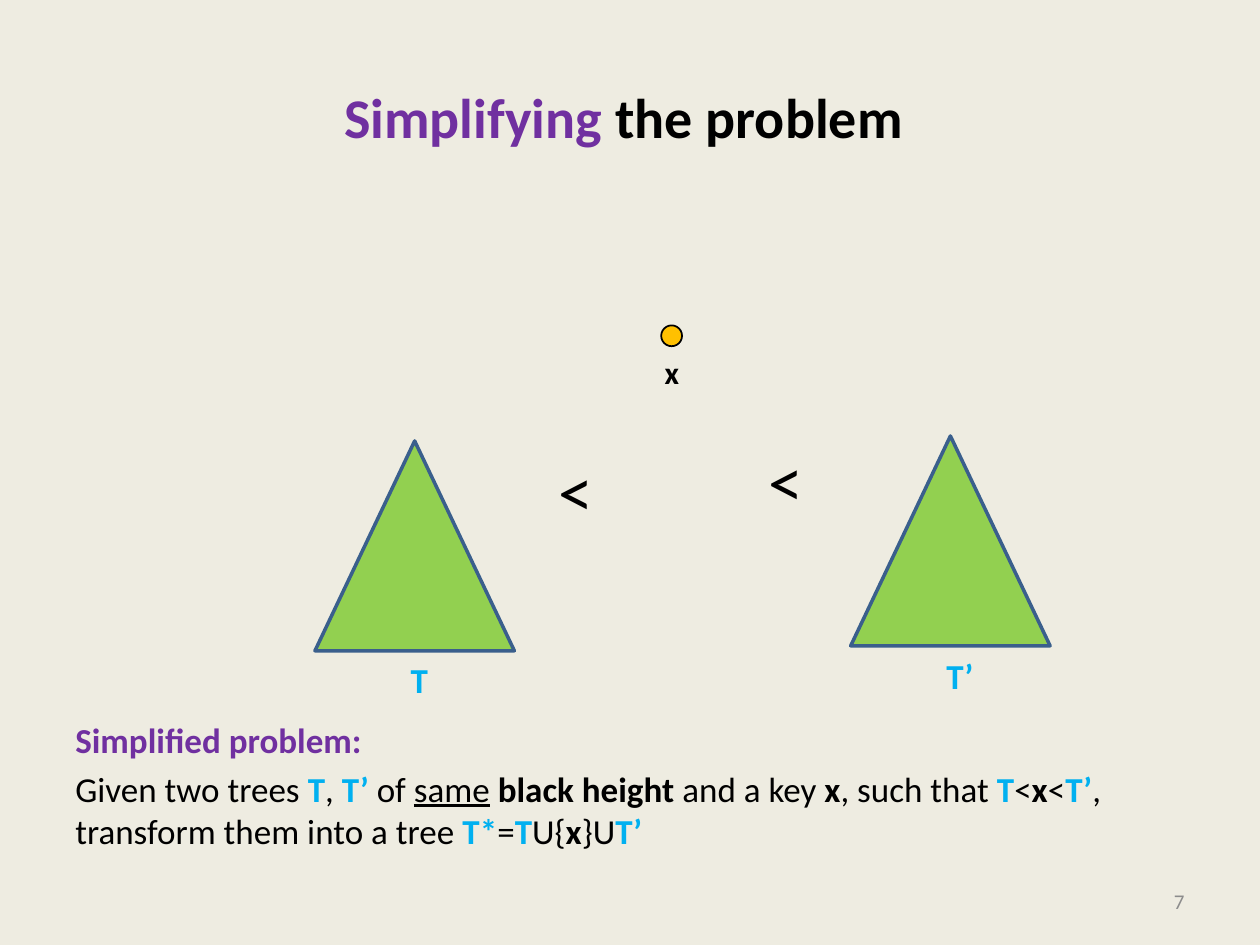
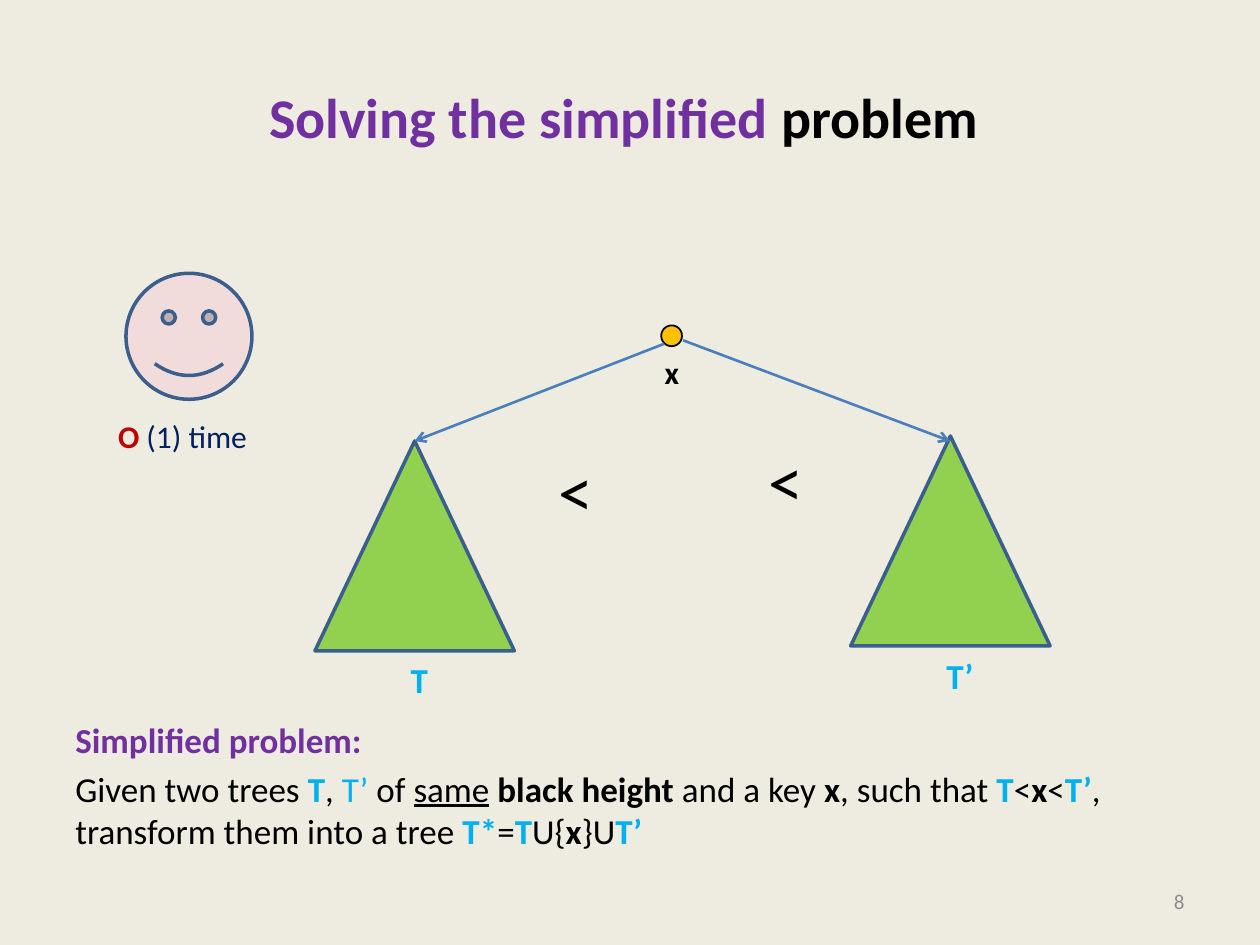
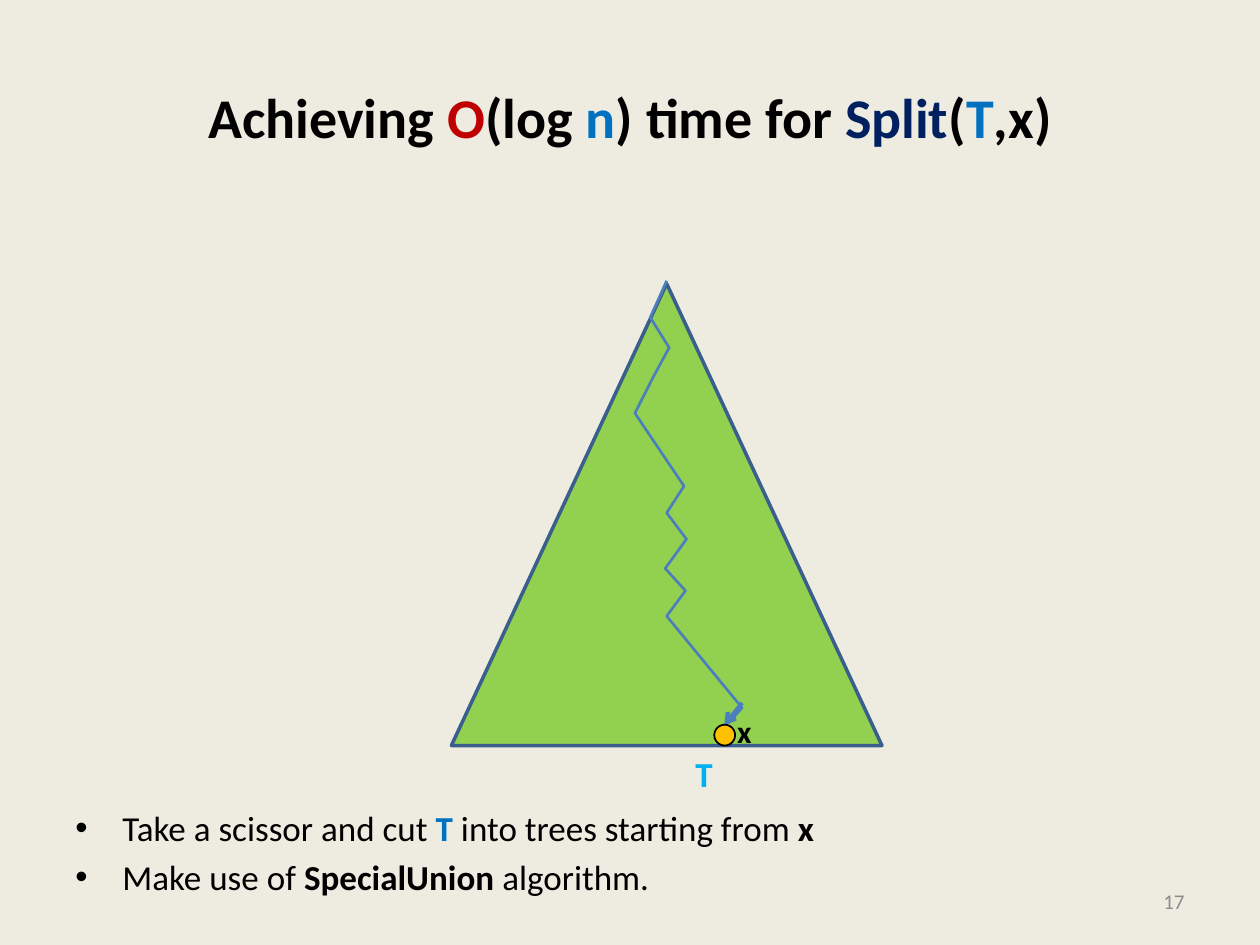
from itertools import pairwise
from lxml.etree import SubElement
from pptx import Presentation
from pptx.dml.color import RGBColor
from pptx.enum.shapes import MSO_CONNECTOR, MSO_SHAPE
from pptx.enum.text import MSO_ANCHOR, PP_ALIGN
from pptx.oxml.ns import qn
from pptx.util import Cm, Pt

FONT = "Calibri"
BACK, BLACK, GREY = "EEECE1", "000000", "8C8C8C"
PURPLE, RED, NAVY = "7030A0", "C00000", "002060"
BLUE, CYAN = "0070C0", "00B0F0"
GREEN, GOLD, PINK = "92D050", "FFC000", "F2DCDB"
EDGE, WIRE = "3A5F8C", "4B7EBC"

STYLES = {
    "plain": (BLACK, False, False),
    "bold": (BLACK, True, False),
    "under": (BLACK, False, True),
    "head": (PURPLE, True, False),
    "tree": (CYAN, True, False),
    "light": (CYAN, False, False),
    "blue": (BLUE, True, False),
    "order": (RED, True, False),
    "navy": (NAVY, False, False),
    "name": (NAVY, True, False),
    "page": (GREY, False, False),
}

TITLES = [
    [("Simplifying", "head"), (" the problem ", "bold")],
    [("Solving the simplified", "head"), (" problem ", "bold")],
    [("Achieving ", "bold"), ("O", "order"), ("(log ", "bold"), ("n", "blue"),
     (") time for ", "bold"), ("Split", "name"), ("(", "bold"), ("T", "blue"),
     (",x)", "bold")],
]
PAGES = ["7", "8", "17"]
TASK = [
    ("Given two trees ", "plain"), ("T", "tree"), (", ", "plain"), ("T’", "tree"),
    (" of ", "plain"), ("same", "under"), (" ", "plain"), ("black height ", "bold"),
    ("and a key ", "plain"), ("x", "bold"), (", such that ", "plain"),
    ("T", "tree"), ("<", "plain"), ("x", "bold"), ("<", "plain"), ("T’", "tree"),
    (", transform them into a tree ", "plain"), ("T*", "tree"), ("=", "plain"),
    ("T", "tree"), ("U{", "plain"), ("x", "bold"), ("}U", "plain"), ("T’", "tree"),
]
STEPS = [
    [("Take a scissor and cut ", "plain"), ("T", "blue"),
     (" into trees starting from ", "plain"), ("x", "bold")],
    [("Make use of ", "plain"), ("SpecialUnion ", "bold"), ("algorithm.", "plain")],
]
TIME = [("O ", "order"), ("(1) time", "navy")]

TREES = [("T", 6.35, 8.89, 0.86), ("T’", 17.15, 8.79, 1.07)]
SIGNS = [(11, 8.89), (15.24, 8.69)]
LINKS = [((13.39, 6.93), (8.36, 8.89)), ((13.77, 6.86), (19.15, 8.89))]
CUT = [
    (13.44, 5.66), (13.11, 6.4), (13.49, 7.01), (13.16, 7.62), (12.8, 8.33),
    (13.79, 9.8), (13.44, 10.34), (13.84, 10.87), (13.41, 11.46),
    (13.82, 11.91), (13.44, 12.42), (14.96, 14.27), (14.68, 14.58),
]
TIP = ((14.96, 14.17), (14.6, 14.61))


def rgb(code):
    return RGBColor.from_string(code)


def place(*nums):
    return [Cm(num) for num in nums]


def write(par, runs, size):
    par.font.size, par.font.name = Pt(size), FONT
    for text, key in runs:
        run = par.add_run()
        run.text = text
        tone, bold, under = STYLES[key]
        run.font.color.rgb = rgb(tone)
        run.font.bold, run.font.underline = bold, under


def label(slide, runs, size, *box):
    frame = slide.shapes.add_textbox(*place(*box)).text_frame
    frame.word_wrap = False
    write(frame.paragraphs[0], runs, size)
    return frame


def shape(slide, kind, box, fill, line=EDGE, width=2):
    form = slide.shapes.add_shape(kind, *place(*box))
    form.shadow.inherit = False
    form.fill.solid()
    form.fill.fore_color.rgb = rgb(fill)
    form.line.color.rgb, form.line.width = rgb(line), Pt(width)
    return form


def arrow(slide, start, end, width=1.5):
    link = slide.shapes.add_connector(MSO_CONNECTOR.STRAIGHT, *place(*start, *end))
    link.line.color.rgb, link.line.width = rgb(WIRE), Pt(width)
    SubElement(link.line._get_or_add_ln(), qn("a:tailEnd"), type="arrow")
    SubElement(link._element.spPr, qn("a:effectLst"))


def body(slide, top, lines, bullet=False):
    frame = slide.shapes.add_textbox(*place(1.27, top, 22.86, 2)).text_frame
    frame.word_wrap = True
    for num, runs in enumerate(lines):
        par = frame.add_paragraph() if num else frame.paragraphs[0]
        par.space_after = Pt(4)
        if bullet:
            props = par._p.get_or_add_pPr()
            props.set("marL", str(Cm(0.95)))
            props.set("indent", str(Cm(-0.95)))
            SubElement(props, qn("a:buFont"), typeface="Arial")
            SubElement(props, qn("a:buChar"), char="•")
        write(par, runs, 20)


def start(deck, runs, page):
    slide = deck.slides.add_slide(deck.slide_layouts[5])
    slide.background.fill.solid()
    slide.background.fill.fore_color.rgb = rgb(BACK)
    title = slide.shapes.title
    title.left, title.top, title.width, title.height = place(1.27, 0.76, 22.86, 3.18)
    frame = title.text_frame
    frame.vertical_anchor = MSO_ANCHOR.MIDDLE
    frame.paragraphs[0].alignment = PP_ALIGN.CENTER
    write(frame.paragraphs[0], runs, 32)
    foot = label(slide, [(page, "page")], 12, 18.2, 17.65, 5.93, 1.02)
    foot.word_wrap = True
    foot.vertical_anchor = MSO_ANCHOR.MIDDLE
    foot.paragraphs[0].alignment = PP_ALIGN.RIGHT
    return slide


def node(slide, left, top, side, drop):
    shape(slide, MSO_SHAPE.OVAL, (left, top, 0.42, 0.42), GOLD, BLACK, 1)
    label(slide, [("x", "bold")], 18, left + side, top + drop, 0.81, 1.02)


def pair(slide, task):
    body(slide, 14.35, [[("Simplified problem:", "head")], task])
    for name, left, top, width in TREES:
        shape(slide, MSO_SHAPE.ISOSCELES_TRIANGLE, (left, top, 4.02, 4.23), GREEN)
        label(slide, [(name, "tree")], 20, left + 1.68, top + 4.27, width, 1.12)
    for left, top in SIGNS:
        label(slide, [("<", "plain")], 40, left, top, 1.22, 1.96)
    node(slide, 13.33, 6.56, -0.18, 0.43)


def solve(slide):
    pair(slide, TASK[:3] + [("T’", "light")] + TASK[4:])
    face = shape(slide, MSO_SHAPE.SMILEY_FACE, (2.54, 5.51, 2.54, 2.54), PINK)
    face.adjustments[0] = 0.05
    label(slide, TIME, 18, 2.13, 8.28, 3.15, 1.02)
    for ends in LINKS:
        arrow(slide, *ends)


def split(slide):
    body(slide, 16.13, STEPS, bullet=True)
    shape(slide, MSO_SHAPE.ISOSCELES_TRIANGLE, (9.1, 5.72, 8.68, 9.31), GREEN)
    label(slide, [("T", "tree")], 20, 13.77, 15.04, 0.86, 1.12)
    pen = slide.shapes.build_freeform(*place(*CUT[0]))
    pen.add_line_segments([place(*spot) for spot in CUT[1:]], close=False)
    path = pen.convert_to_shape()
    path.shadow.inherit = False
    path.fill.background()
    path.line.color.rgb, path.line.width = rgb(WIRE), Pt(1.5)
    arrow(slide, *TIP, 2.25)
    node(slide, 14.4, 14.61, 0.21, -0.39)


def main():
    """Build the three slides on joining and splitting trees."""
    deck = Presentation()
    deck.slide_width, deck.slide_height = place(25.4, 19.05)
    first, second, third = [start(deck, *pack) for pack in zip(TITLES, PAGES)]
    pair(first, TASK)
    solve(second)
    split(third)
    deck.save("out.pptx")


if __name__ == "__main__":
    main()
